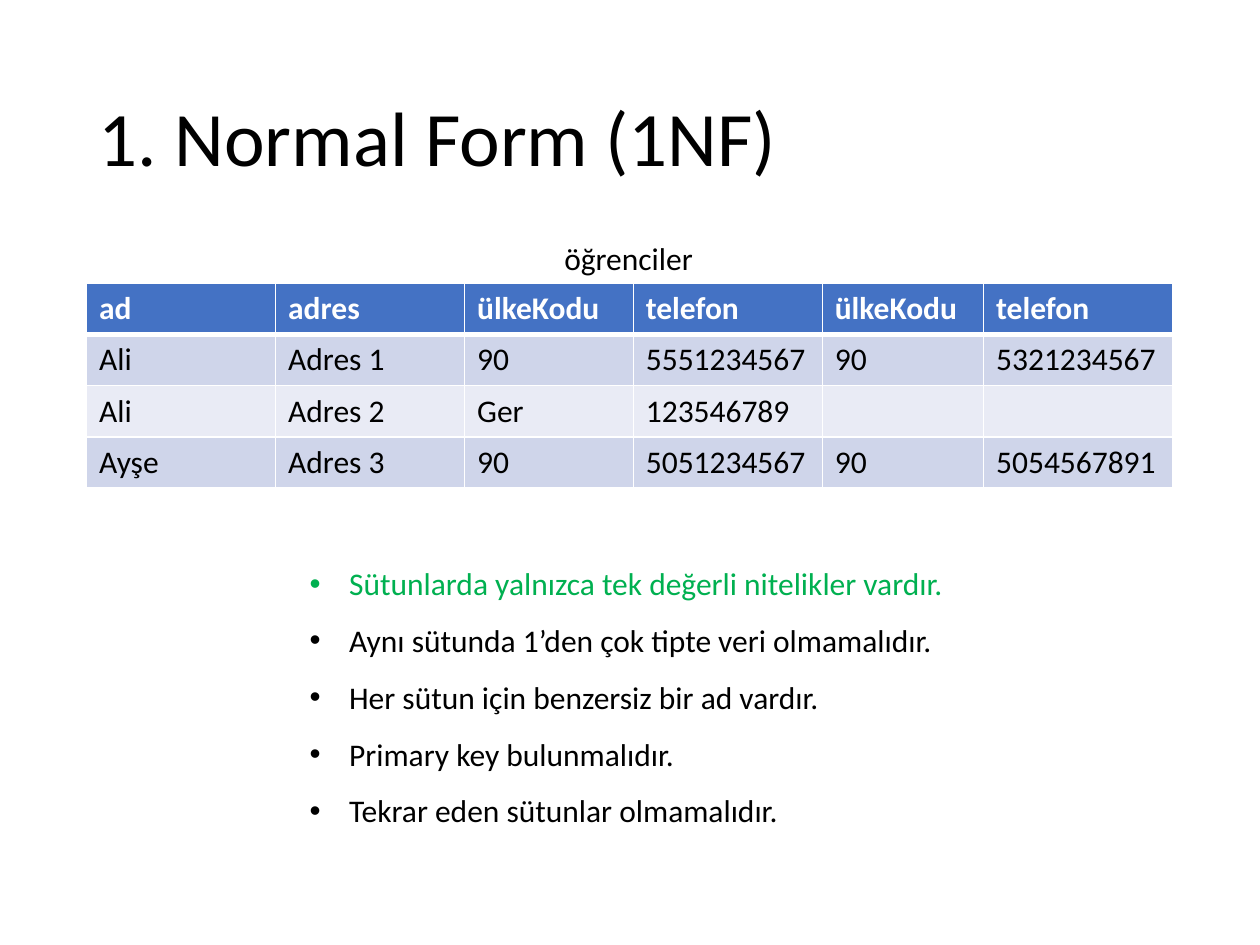
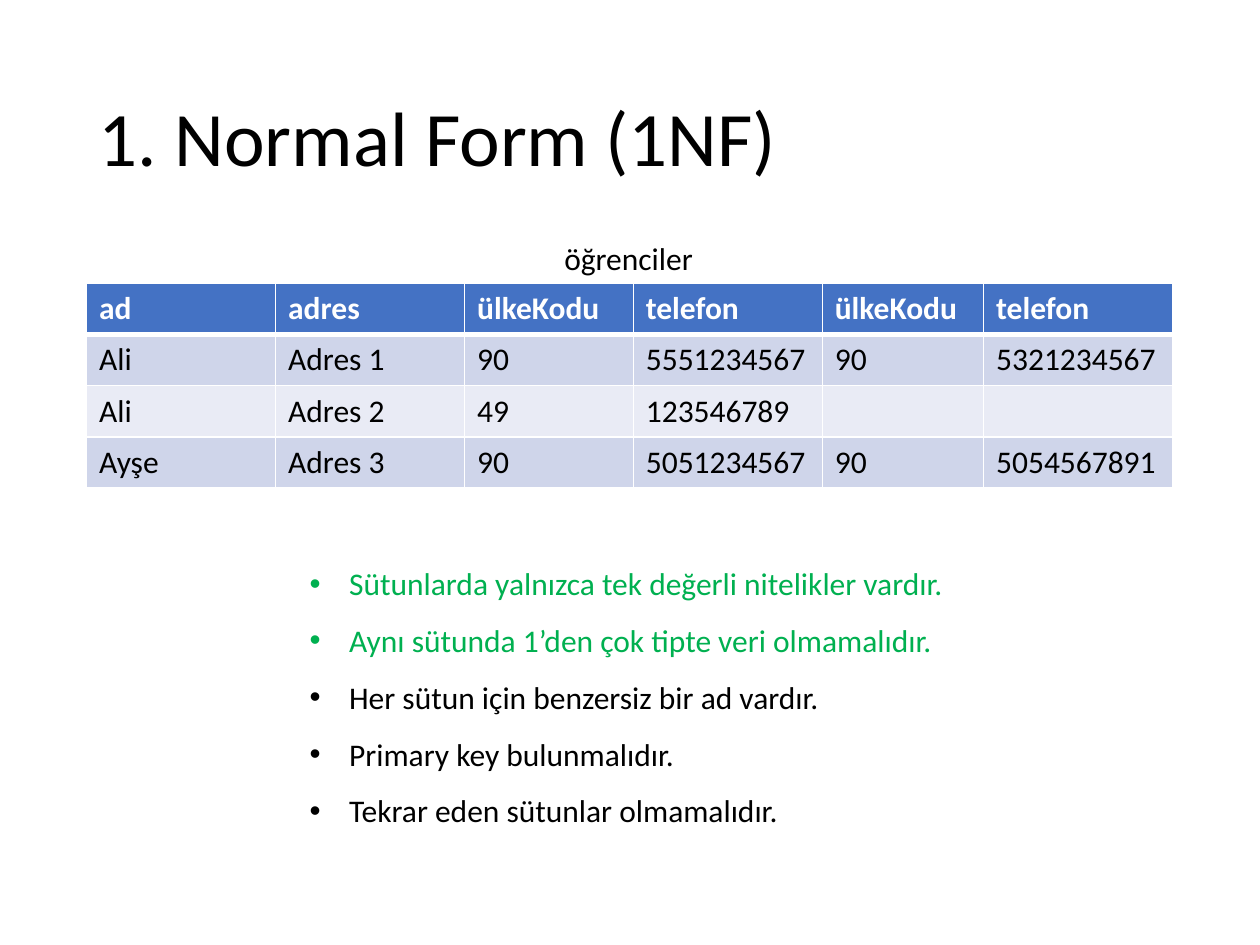
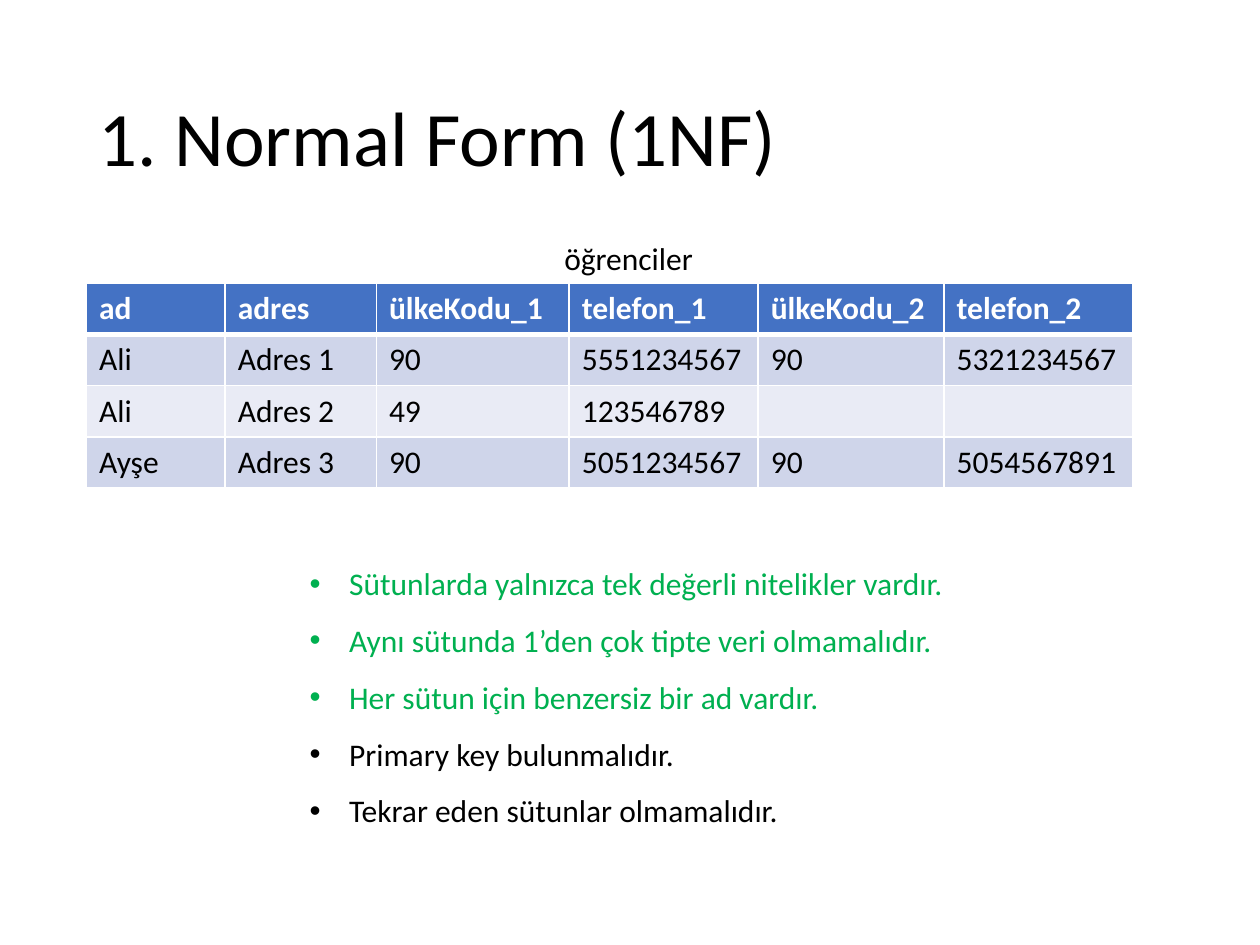
from lxml import etree
from pptx import Presentation
from pptx.dml.color import RGBColor
from pptx.enum.text import MSO_ANCHOR, MSO_AUTO_SIZE
from pptx.oxml.ns import qn
from pptx.util import Pt

MIDDLE = MSO_ANCHOR.MIDDLE
GROW = MSO_AUTO_SIZE.SHAPE_TO_FIT_TEXT

FONT = "Calibri"
HUES = {"ink": "000000", "white": "FFFFFF", "done": "00B050",
        "head": "4472C4", "odd": "CFD5EA", "even": "E9EBF5"}

# Boxes: left, top, width, height in points
TITLE = (49.5, 28.8, 621, 104.4)
LABEL = (315.4, 133.2, 88.6, 29.1)
TABLE = (49.5, 162, 621, 116.8)
RULES = (169.9, 308.2, 380.2, 167.8)

STEPS = [
    "Sütunlarda yalnızca tek değerli nitelikler vardır.",
    "Aynı sütunda 1’den çok tipte veri olmamalıdır.",
    "Her sütun için benzersiz bir ad vardır.",
    "Primary key bulunmalıdır.",
    "Tekrar eden sütunlar olmamalıdır.",
]
PLAIN = ["ad", "adres", "ülkeKodu", "telefon", "ülkeKodu", "telefon"]
UNIQUE = ["ad", "adres", "ülkeKodu_1", "telefon_1", "ülkeKodu_2", "telefon_2"]
WIDE = [108, 108, 96.4, 108, 92.2, 108]
TIGHT = [79.2, 86.4, 110.2, 108, 106.2, 108]

# Header names, column widths, country code of the second row, steps done
PAGES = [
    (PLAIN, WIDE, "Ger", 1),
    (PLAIN, WIDE, "49", 2),
    (UNIQUE, TIGHT, "49", 3),
]


def add_run(para, text, hue="ink", size=18, bold=False):
    run = para.add_run()
    run.text = text
    font = run.font
    font.name, font.size, font.bold = FONT, Pt(size), bold
    font.color.rgb = RGBColor.from_string(HUES[hue])


def add_frame(slide, box):
    return slide.shapes.add_textbox(*map(Pt, box)).text_frame


def add_title(slide, box):
    frame = add_frame(slide, box)
    frame.word_wrap = True
    frame.vertical_anchor = MIDDLE
    para = frame.paragraphs[0]
    para.line_spacing = 0.9
    add_run(para, "1. Normal Form (1NF)", size=44)


def add_label(slide, box):
    frame = add_frame(slide, box)
    frame.word_wrap = False
    frame.auto_size = GROW
    add_run(frame.paragraphs[0], "öğrenciler")


def add_rules(slide, box, done):
    frame = add_frame(slide, box)
    frame.word_wrap = False
    frame.auto_size = GROW
    for num, step in enumerate(STEPS):
        para = frame.add_paragraph() if num else frame.paragraphs[0]
        para.line_spacing = 1.5
        props = para._p.get_or_add_pPr()
        props.set("marL", str(Pt(22.5)))
        props.set("indent", str(-Pt(22.5)))
        etree.SubElement(props, qn("a:buFont"), typeface="Arial")
        etree.SubElement(props, qn("a:buChar"), char="•")
        add_run(para, step, "done" if num < done else "ink")


def set_edges(cell, base):
    """White cell borders, with a heavier one at the base if asked."""
    props = cell._tc.get_or_add_tcPr()
    for side, width in (("L", 1), ("R", 1), ("T", 1), ("B", base)):
        line = etree.SubElement(props, qn("a:ln" + side), w=str(Pt(width)))
        fill = etree.SubElement(line, qn("a:solidFill"))
        etree.SubElement(fill, qn("a:srgbClr"), val=HUES["white"])


def add_grid(slide, box, rows, widths):
    left, top, _, height = box
    place = map(Pt, (left, top, sum(widths), height))
    grid = slide.shapes.add_table(len(rows), len(widths), *place).table
    for col, width in zip(grid.columns, widths):
        col.width = Pt(width)
    for num, row in enumerate(rows):
        head = num == 0
        back = "head" if head else "odd" if num % 2 else "even"
        for col, text in enumerate(row):
            cell = grid.cell(num, col)
            # The rule under the header is shared with the row below
            set_edges(cell, 3 if head else 1)
            if num == 1:
                cell._tc.tcPr.find(qn("a:lnT")).set("w", str(Pt(3)))
            cell.fill.solid()
            cell.fill.fore_color.rgb = RGBColor.from_string(HUES[back])
            if text:
                add_run(cell.text_frame.paragraphs[0], text,
                        "white" if head else "ink", bold=head)


def add_page(deck, names, widths, code, done):
    slide = deck.slides.add_slide(deck.slide_layouts[6])
    rows = [
        names,
        ["Ali", "Adres 1", "90", "5551234567", "90", "5321234567"],
        ["Ali", "Adres 2", code, "123546789", "", ""],
        ["Ayşe", "Adres 3", "90", "5051234567", "90", "5054567891"],
    ]
    add_title(slide, TITLE)
    add_grid(slide, TABLE, rows, widths)
    add_label(slide, LABEL)
    add_rules(slide, RULES, done)


def main():
    deck = Presentation()
    deck.slide_width, deck.slide_height = Pt(720), Pt(540)
    for page in PAGES:
        add_page(deck, *page)
    deck.save("out.pptx")


if __name__ == "__main__":
    main()
